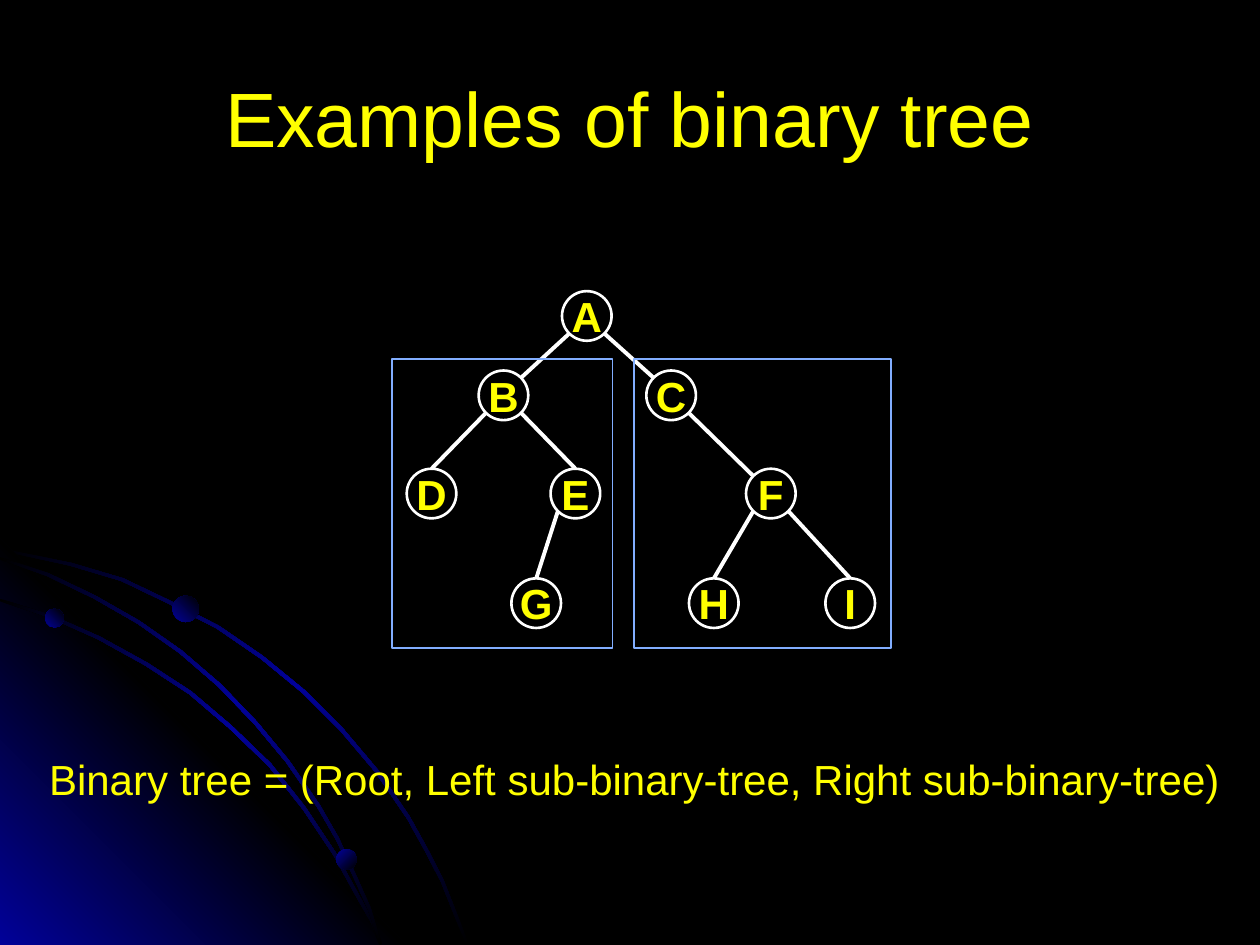
from copy import deepcopy
from math import hypot

from pptx import Presentation
from pptx.dml.color import RGBColor
from pptx.enum import shapes, text
from pptx.oxml import ns, xmlchemy
from pptx.util import Cm, Pt

COLORS = {
    "background": "000000",
    "text": "FFFF00",
    "branch": "FFFFFF",
    "subtree": "82AEFF",
    "glow": "010199",
}
FONT = "Arial"
WIDTH, HEIGHT = 25.4, 19.05
DIAMETER = 1

# Upper edges of the swooping arcs, in cm on the slide
ARCS = [
    [(0, 11.05), (1.45, 11.35), (2.49, 11.66), (3.45, 12.12), (4.42, 12.62),
     (5.31, 13.23), (6.15, 13.92), (6.91, 14.68), (7.62, 15.52), (8.26, 16.46),
     (8.61, 17.09), (8.94, 17.73), (9.19, 18.36), (9.45, 19.02)],
    [(0, 12.07), (1.04, 12.4), (2.01, 12.83), (2.97, 13.36), (3.86, 13.94),
     (4.67, 14.63), (5.46, 15.39), (6.15, 16.26), (6.76, 17.17), (7.26, 18.08),
     (7.52, 18.54), (7.7, 19.02)],
    [(0, 11.23), (0.99, 11.56), (1.93, 12.01), (2.82, 12.52), (3.66, 13.11),
     (4.45, 13.79), (5.18, 14.55), (5.82, 15.32), (6.45, 16.23), (6.83, 16.89),
     (7.16, 17.6), (7.47, 18.29), (7.7, 19.02)],
]
# left, top, diameter, gradient angle
DOTS = [(0.91, 12.27, 0.38, 45), (6.78, 17.12, 0.41, 315), (3.48, 12.01, 0.53, 45)]

# Node positions inside the tree's box: left offset and level
LEVELS = [0, 1.6, 3.58, 5.79]
NODES = {
    "A": (3.43, 0), "B": (1.75, 1), "C": (5.13, 1), "D": (0.3, 2), "F": (7.14, 2),
    "E": (3.2, 2), "G": (2.41, 3), "H": (5.99, 3), "I": (8.74, 3),
}
# Directions from a node's centre to the points where branches attach
TOP, TOP_LEFT, TOP_RIGHT = (0, -1), (-1, -1), (1, -1)
BOTTOM_LEFT, BOTTOM_RIGHT = (-1, 1), (1, 1)
BRANCHES = [
    ("A", BOTTOM_LEFT, "B", TOP_RIGHT), ("A", BOTTOM_RIGHT, "C", TOP_LEFT),
    ("B", BOTTOM_LEFT, "D", TOP), ("C", BOTTOM_RIGHT, "F", TOP_LEFT),
    ("B", BOTTOM_RIGHT, "E", TOP), ("E", BOTTOM_LEFT, "G", TOP),
    ("F", BOTTOM_LEFT, "H", TOP), ("F", BOTTOM_RIGHT, "I", TOP),
]
SUBTREES = [(0, 4.45), (4.88, 5.18)]  # left offset, width


def color(name):
    return RGBColor.from_string(COLORS[name])


def set_font(paragraph, size, bold=False):
    font = paragraph.font
    font.name, font.size, font.bold = FONT, Pt(size), bold
    font.color.rgb = color("text")


def set_outline(shape, name, width):
    shape.shadow.inherit = False
    shape.fill.background()
    shape.line.color.rgb = color(name)
    shape.line.width = Pt(width)


def set_gradient(shape, names, angle):
    """Fill with evenly spaced colours and no outline."""
    shape.shadow.inherit = False
    shape.line.fill.background()
    shape.fill.gradient()
    shape.fill.gradient_angle = angle
    stop_list = shape._element.spPr.find(".//" + ns.qn("a:gsLst"))
    while len(stop_list) < len(names):
        stop_list.append(deepcopy(stop_list[-1]))
    for index, (stop, name) in enumerate(zip(shape.fill.gradient_stops, names)):
        stop.position = index / (len(names) - 1)
        stop.color.rgb = color(name)


def add_polygon(slide, points):
    corners = [(Cm(x), Cm(y)) for x, y in points]
    builder = slide.shapes.build_freeform(*corners[0])
    builder.add_line_segments(corners[1:], close=True)
    return builder.convert_to_shape()


def add_arc(slide, edge, thickness=0.05):
    inner = [(max(x - thickness, 0), min(y + thickness, HEIGHT)) for x, y in edge]
    arc = add_polygon(slide, edge + inner[::-1])
    set_gradient(arc, ["background", "glow", "background"], 315)


def add_corner_decoration(slide, size):
    """Glowing corner, arcs and dots at the bottom left."""
    add_arc(slide, ARCS[0])
    corner = add_polygon(slide, [(0, HEIGHT - size), (size, HEIGHT), (0, HEIGHT)])
    set_gradient(corner, ["glow", "background", "glow"], 45)
    for edge in ARCS[1:]:
        add_arc(slide, edge)
    for left, top, diameter, angle in DOTS:
        dot = slide.shapes.add_shape(
            shapes.MSO_SHAPE.OVAL, Cm(left), Cm(top), Cm(diameter), Cm(diameter))
        set_gradient(dot, ["glow", "background"], angle)


def place_title(slide, left, top, width, height):
    title = slide.shapes.title
    title.left, title.top, title.width, title.height = map(Cm, (left, top, width, height))
    title.text_frame.text = "Examples of binary tree"
    title.text_frame.vertical_anchor = text.MSO_ANCHOR.MIDDLE
    paragraph = title.text_frame.paragraphs[0]
    paragraph.alignment = text.PP_ALIGN.CENTER
    set_font(paragraph, 44)


def add_definition(slide, left, top, width, height):
    frame = slide.shapes.add_textbox(*map(Cm, (left, top, width, height))).text_frame
    frame.word_wrap = False
    frame.margin_left = Cm(0.76)
    frame.text = "Binary tree = (Root, Left sub-binary-tree, Right sub-binary-tree)"
    set_font(frame.paragraphs[0], 24)


def add_node(slide, label, left, top):
    node = slide.shapes.add_shape(
        shapes.MSO_SHAPE.OVAL, Cm(left), Cm(top), Cm(DIAMETER), Cm(DIAMETER))
    set_outline(node, "branch", 1.5)
    frame = node.text_frame
    frame.word_wrap = False
    frame.vertical_anchor = text.MSO_ANCHOR.MIDDLE
    frame.text = label
    frame.paragraphs[0].alignment = text.PP_ALIGN.CENTER
    set_font(frame.paragraphs[0], 24, bold=True)


def add_branch(slide, start, end):
    branch = slide.shapes.add_connector(
        shapes.MSO_CONNECTOR.STRAIGHT, *map(Cm, start + end))
    branch.line.color.rgb = color("branch")
    branch.line.width = Pt(2.25)
    branch._element.spPr.append(xmlchemy.OxmlElement("a:effectLst"))


def add_tree(slide, left, top):
    def attach_point(label, direction):
        """Point on the node's circle in the given direction."""
        offset, level = NODES[label]
        radius = DIAMETER / 2
        reach = radius / hypot(*direction)
        return (left + offset + radius + reach * direction[0],
                top + LEVELS[level] + radius + reach * direction[1])

    for label, (offset, level) in NODES.items():
        add_node(slide, label, left + offset, top + LEVELS[level])
    for parent, parent_side, child, child_side in BRANCHES:
        add_branch(slide, attach_point(parent, parent_side),
                   attach_point(child, child_side))
    for offset, width in SUBTREES:
        frame = slide.shapes.add_shape(
            shapes.MSO_SHAPE.RECTANGLE, Cm(left + offset), Cm(top + 1.37),
            Cm(width), Cm(5.82))
        set_outline(frame, "subtree", 1)


def main():
    presentation = Presentation()
    presentation.slide_width, presentation.slide_height = Cm(WIDTH), Cm(HEIGHT)
    slide = presentation.slides.add_slide(presentation.slide_layouts[5])
    slide.background.fill.solid()
    slide.background.fill.fore_color.rgb = color("background")
    add_corner_decoration(slide, 8.2)
    place_title(slide, 1.27, 0.76, 22.86, 3.18)
    add_definition(slide, 0.23, 15.06, 24.71, 1.27)
    add_tree(slide, 7.9, 5.87)
    presentation.save("out.pptx")


if __name__ == "__main__":
    main()
